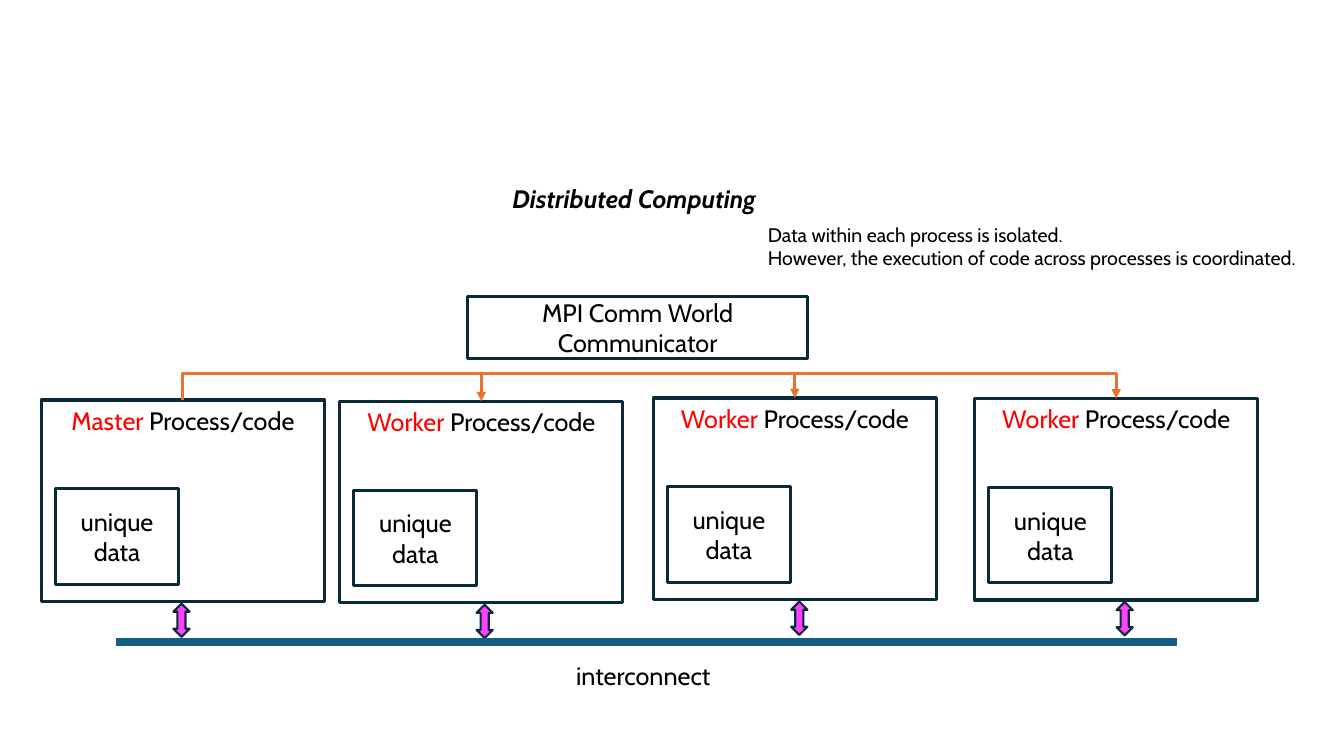
import pptx
import pptx.dml.color
import pptx.enum.shapes
import pptx.enum.text
import pptx.oxml
import pptx.oxml.ns
import pptx.util

Cm = pptx.util.Cm
Kind = pptx.enum.shapes.MSO_SHAPE
Link = pptx.enum.shapes.MSO_CONNECTOR
Align = pptx.enum.text.PP_ALIGN
Anchor = pptx.enum.text.MSO_ANCHOR

INK, RED, BLACK = "092A39", "FF0000", "000000"
ORANGE, PINK, TEAL = "E97132", "FF40FF", "156082"

# role, left, top, left of the arrow below (cm)
NODES = [
    ("Master", 1.04, 10.08, 4.37),
    ("Worker", 8.56, 10.11, 12.01),
    ("Worker", 16.46, 10.03, 19.94),
    ("Worker", 24.56, 10.04, 28.14),
]
WIDE, HIGH = 7.14, 5.08
BUS = 9.42


def paint(hue):
    return pptx.dml.color.RGBColor.from_string(hue)


def write(shape, *lines, size=18, align=Align.CENTER, anchor=Anchor.TOP,
          wrap=True, bold=False, italic=False):
    """Fill a shape with lines, each a list of (text, colour) runs."""
    frame = shape.text_frame
    frame.word_wrap = wrap
    frame.vertical_anchor = anchor
    for i, line in enumerate(lines):
        para = frame.paragraphs[0] if i == 0 else frame.add_paragraph()
        para.alignment = align
        for text, hue in line:
            run = para.add_run()
            run.text = text
            font = run.font
            font.name, font.size = "Cabin", pptx.util.Pt(size)
            font.bold, font.italic = bold, italic
            font.color.rgb = paint(hue)


def block(slide, x, y, w, h, kind=Kind.RECTANGLE, fill=None, width=2.25):
    shape = slide.shapes.add_shape(kind, Cm(x), Cm(y), Cm(w), Cm(h))
    shape.shadow.inherit = False
    if fill:
        shape.fill.solid()
        shape.fill.fore_color.rgb = paint(fill)
    else:
        shape.fill.background()
    shape.line.color.rgb = paint(INK)
    shape.line.width = pptx.util.Pt(width)
    return shape


def label(slide, x, y, w, h, *lines, **style):
    box = slide.shapes.add_textbox(Cm(x), Cm(y), Cm(w), Cm(h))
    write(box, *lines, wrap=False, align=Align.LEFT, **style)


def join(slide, kind, x1, y1, x2, y2, hue, width):
    line = slide.shapes.add_connector(kind, Cm(x1), Cm(y1), Cm(x2), Cm(y2))
    line.line.color.rgb = paint(hue)
    line.line.width = pptx.util.Pt(width)
    pptx.oxml.ns.qn("a:effectLst")
    line._element.spPr.append(pptx.oxml.parse_xml(
        f'<a:effectLst {pptx.oxml.ns.nsdecls("a")}/>'))
    return line


def route(slide, x1, y1, x2, y2):
    """Elbow arrow that climbs to the bus, runs along it and drops."""
    climb, run = y1 - y2, x2 - x1
    left = (x1 + x2 - abs(climb)) / 2
    top = (y1 + y2 - run) / 2
    line = join(slide, Link.ELBOW, left, top, left + abs(climb), top + run,
                ORANGE, 2.25)
    props = line._element.spPr
    # Turned a quarter left, the elbow starts and ends vertically.
    props.xfrm.set("rot", str(270 * 60000))
    if climb < 0:
        props.xfrm.set("flipH", "1")
    bend = round((y1 - BUS) / climb * 100000)
    names = pptx.oxml.ns.nsdecls("a")
    guides = props.find(pptx.oxml.ns.qn("a:prstGeom")).get_or_add_avLst()
    guides.append(pptx.oxml.parse_xml(
        f'<a:gd {names} name="adj1" fmla="val {bend}"/>'))
    props.find(pptx.oxml.ns.qn("a:ln")).append(
        pptx.oxml.parse_xml(f'<a:tailEnd {names} type="triangle"/>'))


def node(slide, role, x, y, mark):
    write(block(slide, x, y, WIDE, HIGH),
          [(role, RED), (" Process/code", BLACK)])
    write(block(slide, x + 0.36, y + 2.24, 3.1, 2.41),
          [("unique data", BLACK)], anchor=Anchor.MIDDLE)
    block(slide, mark, y + 5.13, 0.41, 0.84, Kind.UP_DOWN_ARROW, PINK, 1.5)


def main():
    deck = pptx.Presentation()
    deck.slide_width, deck.slide_height = Cm(33.87), Cm(19.05)
    slide = deck.slides.add_slide(deck.slide_layouts[5])

    title = slide.shapes.title
    title.left, title.top = Cm(12.33), Cm(4.5)
    title.width, title.height = Cm(7.3), Cm(1.02)
    write(title, [("Distributed Computing", BLACK)], bold=True, italic=True)
    label(slide, 19.1, 5.49, 14.43, 1.45,
          [("Data within each process is isolated.", BLACK)],
          [("However, the execution of code across processes is coordinated.",
            BLACK)], size=14)

    write(block(slide, 11.79, 7.47, 8.56, 1.57),
          [("MPI Comm World Communicator", BLACK)], anchor=Anchor.MIDDLE)
    for item in NODES:
        node(slide, *item)
    _, x1, y1, _ = NODES[0]
    for _, x2, y2, _ in NODES[1:]:
        route(slide, x1 + WIDE / 2, y1, x2 + WIDE / 2, y2)

    join(slide, Link.STRAIGHT, 2.92, 16.18, 29.67, 16.18, TEAL, 6)
    label(slide, 14.27, 16.51, 4.04, 1.02, [("interconnect", BLACK)])
    deck.save("out.pptx")


if __name__ == "__main__":
    main()
